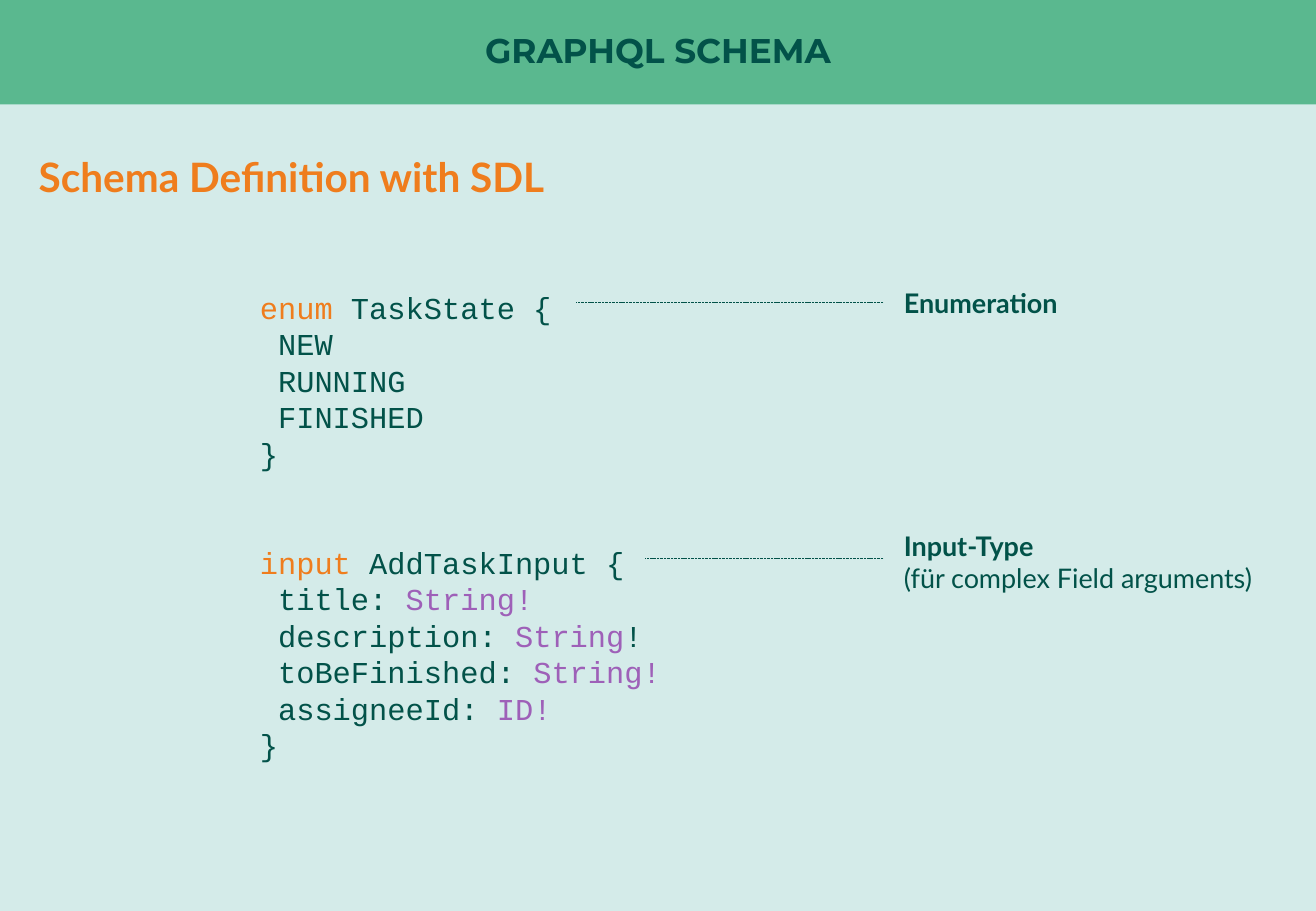
from pptx import Presentation
from pptx.dml.color import RGBColor
from pptx.enum.dml import MSO_LINE
from pptx.enum.shapes import MSO_CONNECTOR, MSO_SHAPE
from pptx.enum.text import MSO_ANCHOR, PP_ALIGN
from pptx.oxml.ns import qn
from pptx.util import Inches, Pt
from lxml import etree

MINT = RGBColor(0xD4, 0xEB, 0xE9)
GREEN = RGBColor(0x5A, 0xB8, 0x8F)
DARK = RGBColor(0x02, 0x52, 0x49)
ORANGE = RGBColor(0xEF, 0x7D, 0x1D)
PURPLE = RGBColor(0x9E, 0x60, 0xB8)
RECT = MSO_SHAPE.RECTANGLE
STRAIGHT = MSO_CONNECTOR.STRAIGHT
DASH = MSO_LINE.SQUARE_DOT
CENTER = PP_ALIGN.CENTER
MIDDLE = MSO_ANCHOR.MIDDLE

WIDTH, HEIGHT = 10.83, 7.5
LABEL_X, LINE_END = 7.34, 7.27

CODE = [
    [("enum ", ORANGE), ("TaskState {", DARK)],
    [(" NEW", DARK)],
    [(" RUNNING", DARK)],
    [(" FINISHED", DARK)],
    [("}", DARK)],
    [("input ", ORANGE), ("AddTaskInput {", DARK)],
    [(" title: ", DARK), ("String!", PURPLE)],
    [(" description: ", DARK), ("String", PURPLE), ("!", DARK)],
    [(" toBeFinished: ", DARK), ("String!", PURPLE)],
    [(" assigneeId: ", DARK), ("ID!", PURPLE)],
    [("}", DARK)],
]
INPUT_ROW = 5

NOTES = [
    (2.31, 0.37, 4.74, 2.49, ["Enumeration"]),
    (4.31, 0.64, 5.31, 4.6, ["Input-Type", "(für complex Field arguments)"]),
]


class Deck:
    title = {"name": "Montserrat", "size": Pt(20.3), "bold": True}
    head = {"name": "Lato", "size": Pt(24), "bold": True}
    label = {"name": "Lato", "size": Pt(16), "bold": True}
    plain = {**label, "bold": False}
    code = {"name": "Courier New", "size": Pt(18), "bold": False}

    def __init__(self):
        self.prs = Presentation()
        self.prs.slide_width = Inches(WIDTH)
        self.prs.slide_height = Inches(HEIGHT)
        self.slide = self.prs.slides.add_slide(self.prs.slide_layouts[6])
        fill = self.slide.background.fill
        fill.solid()
        fill.fore_color.rgb = MINT

    def add_run(self, para, text, color, style):
        run = para.add_run()
        run.text = text
        run.font.color.rgb = color
        for key, value in style.items():
            setattr(run.font, key, value)

    def band(self, text, height):
        shape = self.slide.shapes.add_shape(RECT, 0, 0, Inches(WIDTH), Inches(height))
        shape.shadow.inherit = False
        shape.fill.solid()
        shape.fill.fore_color.rgb = GREEN
        shape.line.fill.background()
        frame = shape.text_frame
        frame.vertical_anchor = MIDDLE
        for side in ("left", "top", "right", "bottom"):
            setattr(frame, f"margin_{side}", 0)
        para = frame.paragraphs[0]
        para.alignment = CENTER
        para.line_spacing = 0.9
        self.add_run(para, text, DARK, self.title)

    def text(self, box, rows, spacing=None):
        shape = self.slide.shapes.add_textbox(*map(Inches, box))
        frame = shape.text_frame
        frame.word_wrap = True
        for i, row in enumerate(rows):
            para = frame.add_paragraph() if i else frame.paragraphs[0]
            para.line_spacing = spacing
            for part in row:
                self.add_run(para, *part)
        return frame

    def line(self, start, end, y):
        line = self.slide.shapes.add_connector(
            STRAIGHT, Inches(start), Inches(y), Inches(end), Inches(y))
        line.line.color.rgb = DARK
        line.line.width = Pt(0.5)
        line.line.dash_style = DASH
        etree.SubElement(line._element.spPr, qn("a:effectLst"))


def main():
    deck = Deck()
    deck.band("GRAPHQL SCHEMA", 0.86)
    deck.text((0.22, 1.12, 10.39, 0.57),
              [[("Schema Definition with SDL", ORANGE, deck.head)]], 1.2)
    rows = [[(text, color, deck.code) for text, color in row] for row in CODE]
    frame = deck.text((2.04, 2.33, 6.76, 4.1), rows, Pt(21.6))
    frame.paragraphs[INPUT_ROW].space_before = Pt(43.2)
    for top, height, start, y, words in NOTES:
        styles = (deck.label, deck.plain)
        deck.text((LABEL_X, top, 3.2, height),
                  [[(word, DARK, style)] for word, style in zip(words, styles)])
        deck.line(LINE_END, start, y)
    deck.prs.save("out.pptx")


if __name__ == "__main__":
    main()
